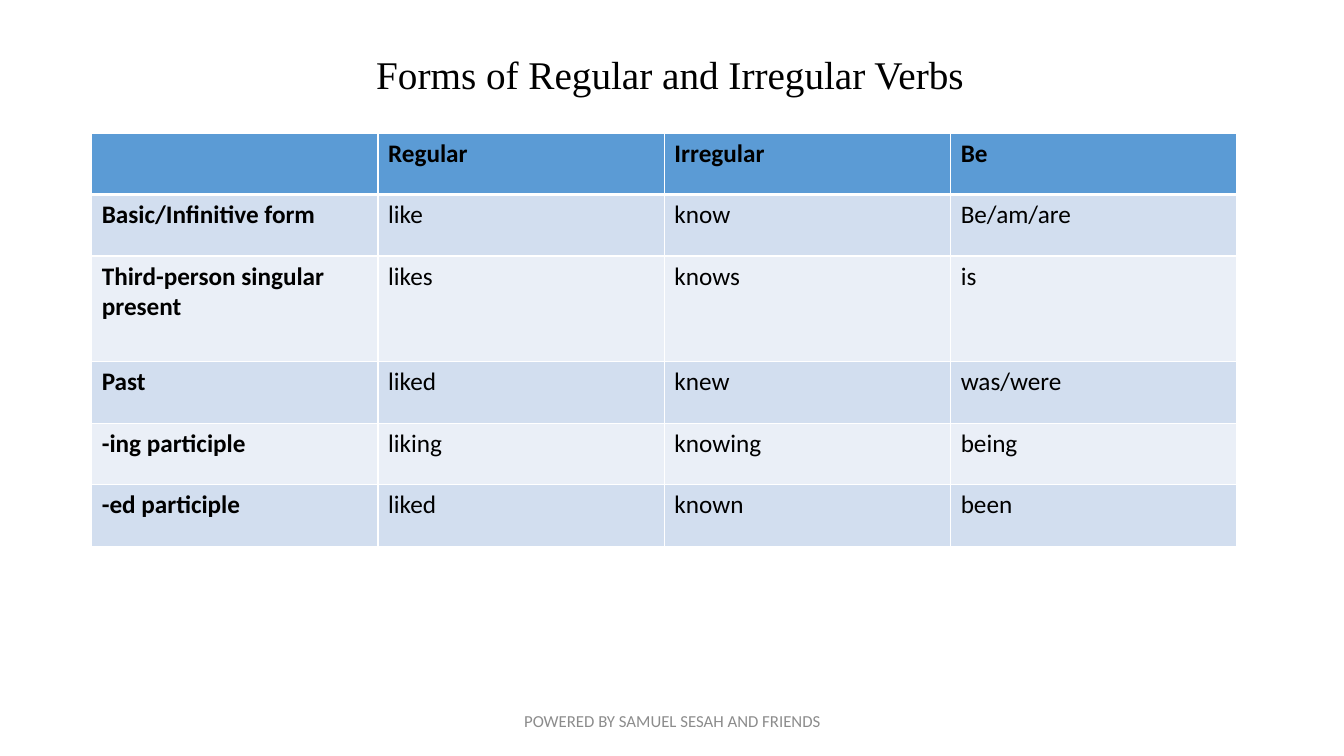
import dataclasses

import pptx
import pptx.dml.color
import pptx.enum.text
import pptx.oxml
import pptx.oxml.ns
import pptx.util

Inches = pptx.util.Inches
ALIGN = pptx.enum.text.PP_ALIGN
ANCHOR = pptx.enum.text.MSO_ANCHOR


@dataclasses.dataclass(frozen=True)
class Theme:
    title_font: str = "Times New Roman"
    body_font: str = "Calibri"
    title_size: int = 28
    table_size: int = 18
    footer_size: int = 12
    ink: str = "000000"
    footer_ink: str = "8C8C8C"
    header_fill: str = "5B9BD5"
    band_fills: tuple = ("D2DEEF", "EAEFF7")
    border: str = "FFFFFF"


THEME = Theme()

VERB_FORMS = [
    ["", "Regular", "Irregular", "Be"],
    ["Basic/Infinitive form", "like", "know", "Be/am/are"],
    ["Third-person singular present", "likes", "knows", "is"],
    ["Past", "liked", "knew", "was/were"],
    ["-ing participle", "liking", "knowing", "being"],
    ["-ed participle", "liked", "known", "been"],
]
ROW_HEIGHT, TALL_ROW_HEIGHT, TALL_ROW = 0.61, 1.05, 2


def rgb(value):
    return pptx.dml.color.RGBColor.from_string(value)


def write(frame, text, *, font, size, color, bold=False, align=ALIGN.LEFT,
          anchor=ANCHOR.TOP, spacing=None):
    frame.word_wrap = True
    frame.vertical_anchor = anchor
    para = frame.paragraphs[0]
    para.alignment = align
    para.line_spacing = spacing
    para.font.size = pptx.util.Pt(size)
    if text:
        span = para.add_run()
        span.text = text
        span.font.name = font
        span.font.size = pptx.util.Pt(size)
        span.font.bold = bold
        span.font.color.rgb = rgb(color)


def add_text(page, box, text, **style):
    shape = page.shapes.add_textbox(*map(Inches, box))
    write(shape.text_frame, text, **style)


def set_borders(cell, bottom_width):
    # Borders must precede the fill in the cell properties
    properties = cell._tc.get_or_add_tcPr()
    namespace = pptx.oxml.ns.nsdecls("a")
    for index, (side, width) in enumerate(
            [("L", 1), ("R", 1), ("T", 1), ("B", bottom_width)]):
        properties.insert(index, pptx.oxml.parse_xml(
            f'<a:ln{side} {namespace} w="{pptx.util.Pt(width)}"><a:solidFill>'
            f'<a:srgbClr val="{THEME.border}"/></a:solidFill></a:ln{side}>'))


def add_title(page, box):
    add_text(page, box, "Forms of Regular and Irregular Verbs",
             font=THEME.title_font, size=THEME.title_size, color=THEME.ink,
             align=ALIGN.CENTER, spacing=0.9)


def add_verb_table(page, box):
    columns = len(VERB_FORMS[0])
    table = page.shapes.add_table(
        len(VERB_FORMS), columns, *map(Inches, box)).table
    for column in table.columns:
        column.width = Inches(box[2] / columns)
    for r, words in enumerate(VERB_FORMS):
        table.rows[r].height = Inches(
            TALL_ROW_HEIGHT if r == TALL_ROW else ROW_HEIGHT)
        fill = THEME.band_fills[(r - 1) % 2] if r else THEME.header_fill
        for c, word in enumerate(words):
            cell = table.cell(r, c)
            cell.fill.solid()
            cell.fill.fore_color.rgb = rgb(fill)
            # The header row is closed by a heavier rule
            set_borders(cell, bottom_width=1 if r else 3)
            write(cell.text_frame, word, font=THEME.body_font,
                  size=THEME.table_size, color=THEME.ink,
                  bold=r == 0 or c == 0)


def add_footer(page, box):
    add_text(page, box, "POWERED BY SAMUEL SESAH AND FRIENDS",
             font=THEME.body_font, size=THEME.footer_size,
             color=THEME.footer_ink, align=ALIGN.CENTER, anchor=ANCHOR.MIDDLE)


def main():
    deck = pptx.Presentation()
    deck.slide_width, deck.slide_height = Inches(13.33), Inches(7.5)
    page = deck.slides.add_slide(deck.slide_layouts[6])
    add_title(page, (0.43, 0.5, 12.43, 6.51))
    add_verb_table(page, (0.91, 1.32, 11.36, 4.1))
    add_footer(page, (4.42, 6.95, 4.5, 0.4))
    deck.save("out.pptx")


if __name__ == "__main__":
    main()
